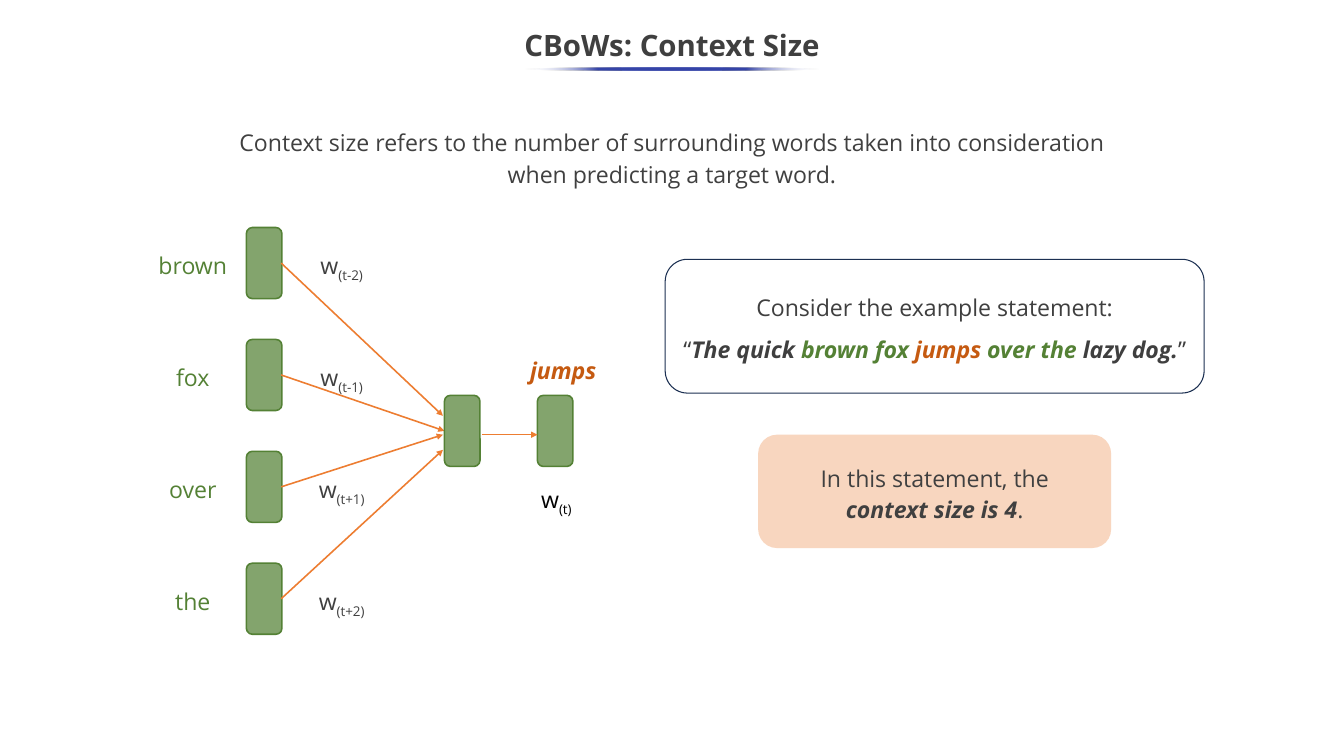
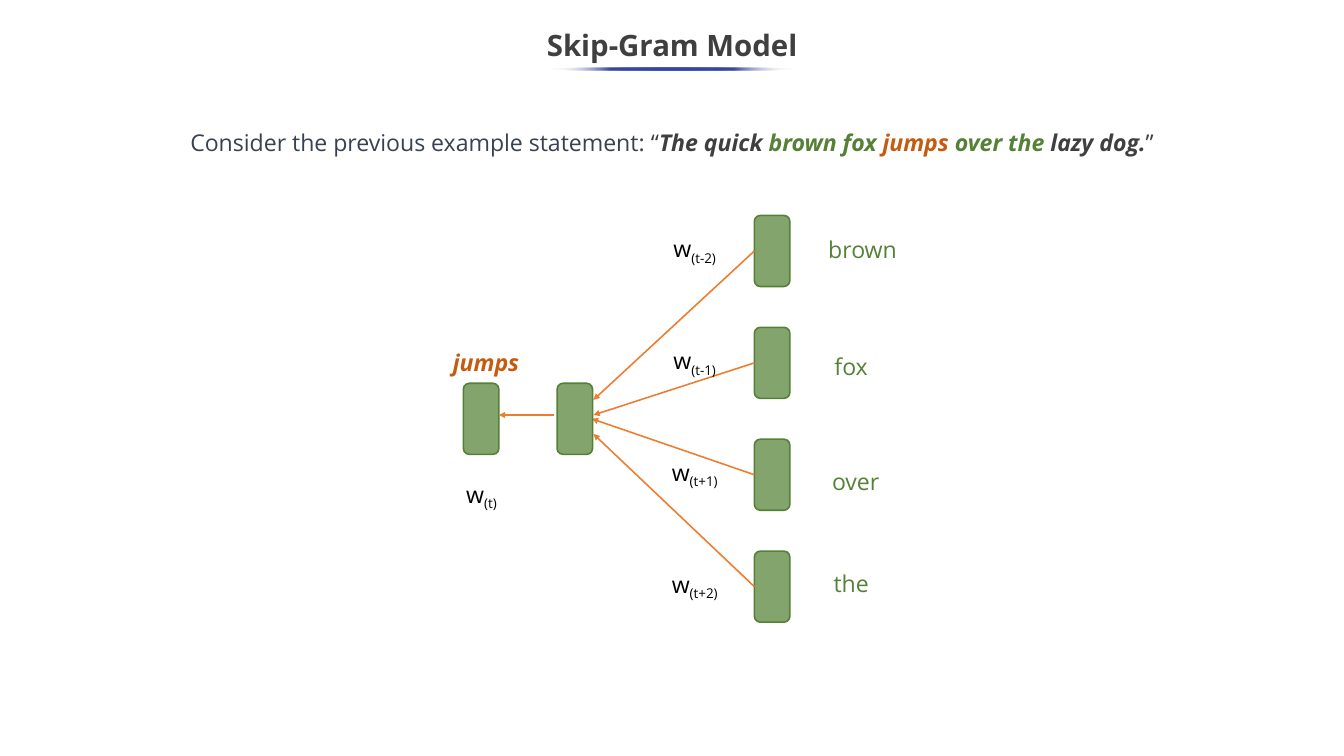
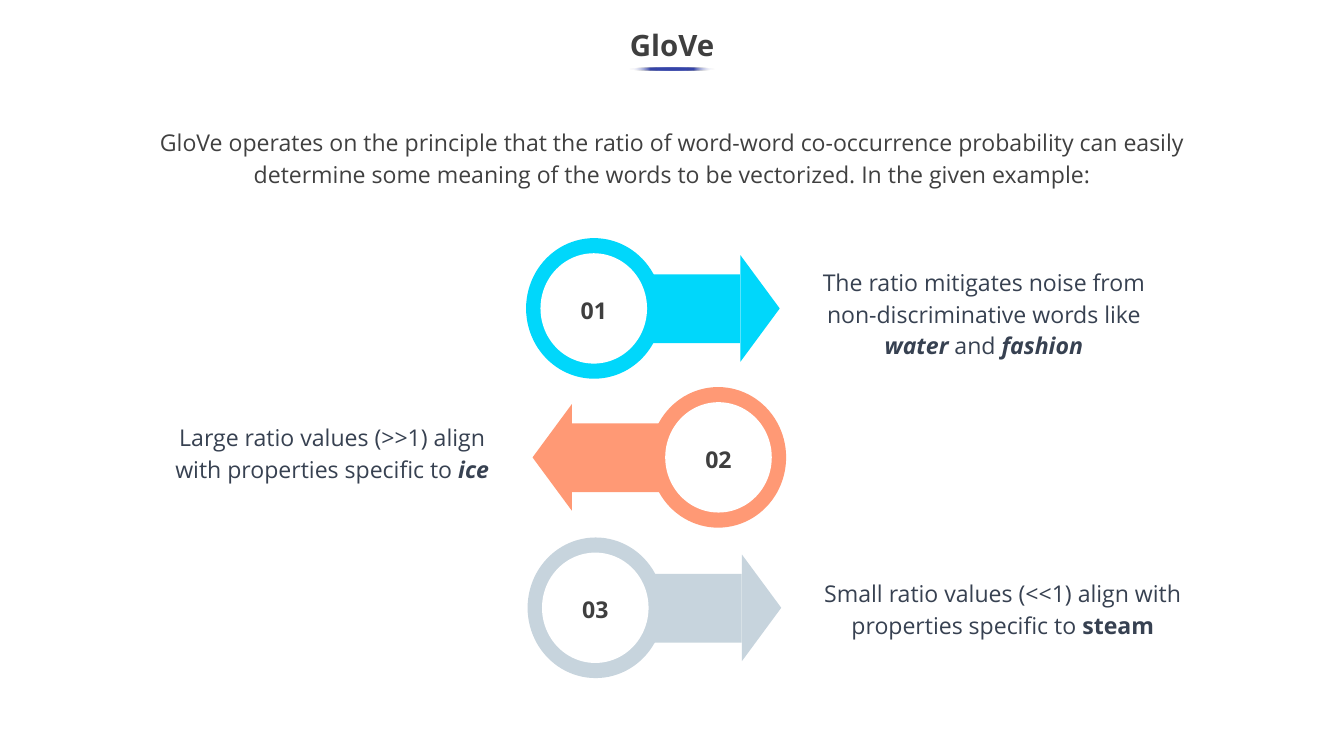
from lxml import etree
from pptx import Presentation
from pptx.dml.color import RGBColor
from pptx.enum.shapes import MSO_CONNECTOR as Connector, MSO_SHAPE as Shape
from pptx.enum.text import MSO_ANCHOR as Anchor, MSO_AUTO_SIZE as AutoSize, PP_ALIGN as Align
from pptx.oxml.ns import qn
from pptx.util import Inches, Pt

SLIDE_WIDTH, SLIDE_HEIGHT = 17.78, 10
FONT = "Open Sans"
DARK, GREY, SLATE, BLACK, WHITE = "3F3F3F", "404040", "374151", "000000", "FFFFFF"
GREEN, RUST, ORANGE, NAVY = "548135", "C55A11", "ED7D31", "1C3052"
PEACH, UNDERLINE = "F7CAAC", "3645A9"

BOX_WIDTH, BOX_HEIGHT, ROW_STEP = 0.47, 0.94, 1.48
LABEL_WIDTH, LABEL_HEIGHT = 1.42, 0.47
CONTEXT_WORDS = ["brown", "fox", "over", "the"]
CONTEXT_STEPS = ["(t-2)", "(t-1)", "(t+1)", "(t+2)"]

# A span is (text, colour, emphasis); emphasis holds b, i or s for subscript.
STATEMENT = [
    ("“", DARK, ""),
    ("The quick ", DARK, "bi"),
    ("brown fox ", GREEN, "bi"),
    ("jumps ", RUST, "bi"),
    ("over the ", GREEN, "bi"),
    ("lazy dog.", DARK, "bi"),
    ("”", DARK, ""),
]


def rgb(color):
    return RGBColor.from_string(color)


def set_alpha(color_element, percent):
    alpha = etree.SubElement(color_element, qn("a:alpha"))
    alpha.set("val", str(percent * 1000))


class Deck:
    """Holds the presentation, its style and the current slide."""

    def __init__(self):
        self.presentation = Presentation()
        self.presentation.slide_width = Inches(SLIDE_WIDTH)
        self.presentation.slide_height = Inches(SLIDE_HEIGHT)
        self.slide = None

    def new_slide(self, title, underline_width, intro, intro_width):
        self.slide = self.presentation.slides.add_slide(self.presentation.slide_layouts[6])
        self.text(0, 0.25, SLIDE_WIDTH, 0.75, [[(title, DARK, "b")]], size=28,
                  spacing=0.9, anchor=Anchor.MIDDLE, grow=False)
        self.underline(underline_width)
        self.text((SLIDE_WIDTH - intro_width) / 2, 1.65, intro_width, 0.99, [intro],
                  inset=0, grow=False)

    def shape(self, kind, left, top, width, height, fill=None, alpha=None,
              line=None, line_width=1.5, rotation=0):
        shape = self.slide.shapes.add_shape(
            kind, Inches(left), Inches(top), Inches(width), Inches(height))
        shape.shadow.inherit = False
        shape.rotation = rotation
        if fill:
            shape.fill.solid()
            shape.fill.fore_color.rgb = rgb(fill)
            if alpha:
                set_alpha(shape.fill._xPr.find(".//" + qn("a:srgbClr")), alpha)
        else:
            shape.fill.background()
        if line:
            shape.line.color.rgb = rgb(line)
            shape.line.width = Pt(line_width)
        else:
            shape.line.fill.background()
        return shape

    def underline(self, width):
        """Ellipse under the title that fades out at both ends."""
        shape = self.shape(Shape.OVAL, (SLIDE_WIDTH - width) / 2, 0.89, width, 0.04)
        shape.fill.gradient()
        shape.fill.gradient_angle = 180
        stops = shape._element.spPr.find(".//" + qn("a:gsLst"))
        for stop in list(stops):
            stops.remove(stop)
        for position in range(0, 101, 25):
            faded = position in (0, 100)
            stop = etree.SubElement(stops, qn("a:gs"), pos=str(position * 1000))
            color = etree.SubElement(stop, qn("a:srgbClr"), val=WHITE if faded else UNDERLINE)
            if faded:
                set_alpha(color, 0)

    def text(self, left, top, width, height, paragraphs, size=22, spacing=1.14,
             anchor=Anchor.TOP, inset=0.05, grow=True):
        box = self.slide.shapes.add_textbox(
            Inches(left), Inches(top), Inches(width), Inches(height))
        self.fill_text(box.text_frame, paragraphs, size, spacing, anchor, inset)
        box.text_frame.auto_size = AutoSize.SHAPE_TO_FIT_TEXT if grow else AutoSize.NONE

    def fill_text(self, frame, paragraphs, size=22, spacing=1.14,
                  anchor=Anchor.MIDDLE, inset=0.05):
        frame.word_wrap = True
        frame.vertical_anchor = anchor
        frame.margin_left = frame.margin_right = Inches(0.1)
        frame.margin_top = frame.margin_bottom = Inches(inset)
        for index, spans in enumerate(paragraphs):
            paragraph = frame.add_paragraph() if index else frame.paragraphs[0]
            paragraph.alignment = Align.CENTER
            paragraph.line_spacing = spacing
            if index:
                paragraph.space_before = Pt(10)
            for text, color, emphasis in spans:
                run = paragraph.add_run()
                run.text = text
                run.font.name = FONT
                run.font.size = Pt(size)
                run.font.color.rgb = rgb(color)
                run.font.bold = "b" in emphasis
                run.font.italic = "i" in emphasis
                if "s" in emphasis:
                    run._r.get_or_add_rPr().set("baseline", "-25000")

    def arrow(self, start, end):
        connector = self.slide.shapes.add_connector(
            Connector.STRAIGHT, *(Inches(value) for value in (*start, *end)))
        connector.line.color.rgb = rgb(ORANGE)
        connector.line.width = Pt(1.5)
        etree.SubElement(connector.line._get_or_add_ln(), qn("a:tailEnd"), type="triangle")
        etree.SubElement(connector._element.spPr, qn("a:effectLst"))

    def neuron(self, left, top):
        self.shape(Shape.ROUNDED_RECTANGLE, left, top, BOX_WIDTH, BOX_HEIGHT,
                   fill="548235", alpha=72, line=GREEN)

    def label(self, left, top, *spans):
        self.text(left, top, LABEL_WIDTH, LABEL_HEIGHT, [spans], spacing=1)

    def step_label(self, left, top, step, color=BLACK):
        self.label(left, top, ("w", color, ""), (step, color, "s"))

    def network(self, context_left, context_top, context_edge, middle_left, target_left,
                middle_top, tips, target_arrow, words, steps_at, steps_color,
                jumps_at, target_step_at):
        """Four context words linked to the middle box, which leads to the target word."""
        steps_left, steps_top = steps_at
        rows = zip(CONTEXT_WORDS, CONTEXT_STEPS, tips, words)
        for row, (word, step, tip, word_at) in enumerate(rows):
            offset = row * ROW_STEP
            self.neuron(context_left, context_top + offset)
            self.arrow((context_edge, context_top + offset + BOX_HEIGHT / 2), tip)
            self.label(*word_at, (word, GREEN, ""))
            self.step_label(steps_left, steps_top + offset, step, steps_color)
        self.neuron(middle_left, middle_top)
        self.neuron(target_left, middle_top)
        self.arrow(*target_arrow)
        self.text(*jumps_at, LABEL_WIDTH, 0.5, [[("jumps", RUST, "bi")]])
        self.step_label(*target_step_at, "(t)")

    def numbered_arrow(self, number, left, top, color, points_right):
        """Ring with a number and a block arrow, mirrored when it points left."""
        ring_width = 1.8

        def place(offset, width):
            return left + (offset if points_right else ring_width - offset - width)

        self.shape(Shape.OVAL, left, top, ring_width, 1.86, fill=color)
        self.shape(Shape.RECTANGLE, place(1.55, 1.28), top + 0.48, 1.28, 0.91, fill=color)
        self.shape(Shape.ISOSCELES_TRIANGLE, place(2.39, 1.41), top + 0.67, 1.41, 0.52,
                   fill=color, rotation=90 if points_right else 270)
        disc = self.shape(Shape.OVAL, place(0.19, 1.41), top + 0.2, 1.41, 1.46, fill=WHITE)
        self.fill_text(disc.text_frame, [[(number, DARK, "b")]])


def build_context_size(deck):
    deck.new_slide("CBoWs: Context Size", 3.91, [
        ("Context size refers to the number of surrounding words taken into "
         "consideration when predicting a target word.", GREY, "")], 12.34)
    deck.network(
        context_left=3.26, context_top=3.01, context_edge=3.72,
        middle_left=5.88, target_left=7.11, middle_top=5.23,
        tips=[(5.86, 5.5), (5.88, 5.7), (5.86, 5.75), (5.86, 5.95)],
        target_arrow=((6.38, 5.75), (7.11, 5.75)),
        words=[(1.84, 3.28 + row * ROW_STEP) for row in range(4)],
        steps_at=(3.81, 3.28), steps_color=GREY,
        jumps_at=(6.74, 4.61), target_step_at=(6.65, 6.37))
    deck.shape(Shape.ROUNDED_RECTANGLE, 8.8, 3.43, 7.13, 1.77, line=NAVY, line_width=1)
    deck.text(8.82, 3.78, 7.09, 1.06,
              [[("Consider the example statement:", DARK, "")], STATEMENT])
    deck.shape(Shape.ROUNDED_RECTANGLE, 10.03, 5.75, 4.67, 1.5, fill=PEACH, alpha=76)
    deck.text(10.67, 6.04, 3.39, 0.95, [[
        ("In this statement, the ", GREY, ""),
        ("context size is 4", GREY, "bi"),
        (".", GREY, "")]])


def build_skip_gram(deck):
    deck.new_slide("Skip-Gram Model", 3.23, [
        ("Consider the previous example statement: ", SLATE, ""), *STATEMENT], 14.98)
    deck.network(
        context_left=9.98, context_top=2.85, context_edge=9.98,
        middle_left=7.37, target_left=6.13, middle_top=5.07,
        tips=[(7.85, 5.29), (7.85, 5.49), (7.83, 5.54), (7.85, 5.74)],
        target_arrow=((7.33, 5.49), (6.6, 5.49)),
        words=[(10.7, 3.06), (10.55, 4.61), (10.61, 6.13), (10.55, 7.48)],
        steps_at=(8.48, 3.05), steps_color=BLACK,
        jumps_at=(5.72, 4.51), target_step_at=(5.66, 6.3))


def build_glove(deck):
    deck.new_slide("GloVe", 1.13, [
        ("GloVe operates on the principle that the ratio of word-word co-occurrence "
         "probability can easily determine some meaning of the words to be vectorized. "
         "In the given example:", GREY, "")], 14.75)
    deck.numbered_arrow("01", 6.96, 3.15, "00D7FB", points_right=True)
    deck.numbered_arrow("02", 8.6, 5.12, "FF9975", points_right=False)
    deck.numbered_arrow("03", 6.98, 7.11, "C7D4DD", points_right=True)
    deck.text(10.44, 3.45, 5.15, 1.34, [[
        ("The ratio mitigates noise from non-discriminative words like ", SLATE, ""),
        ("water", SLATE, "bi"),
        (" and ", SLATE, ""),
        ("fashion", SLATE, "bi")]])
    deck.text(1.98, 5.5, 4.83, 0.92, [[
        ("Large ratio values (>>1) align with properties specific to ", SLATE, ""),
        ("ice", SLATE, "bi")]])
    deck.text(10.69, 7.57, 5.15, 0.92, [[
        ("Small ratio values (<<1) align with properties specific to ", SLATE, ""),
        ("steam", SLATE, "b")]])


def main():
    deck = Deck()
    build_context_size(deck)
    build_skip_gram(deck)
    build_glove(deck)
    deck.presentation.save("out.pptx")


if __name__ == "__main__":
    main()
